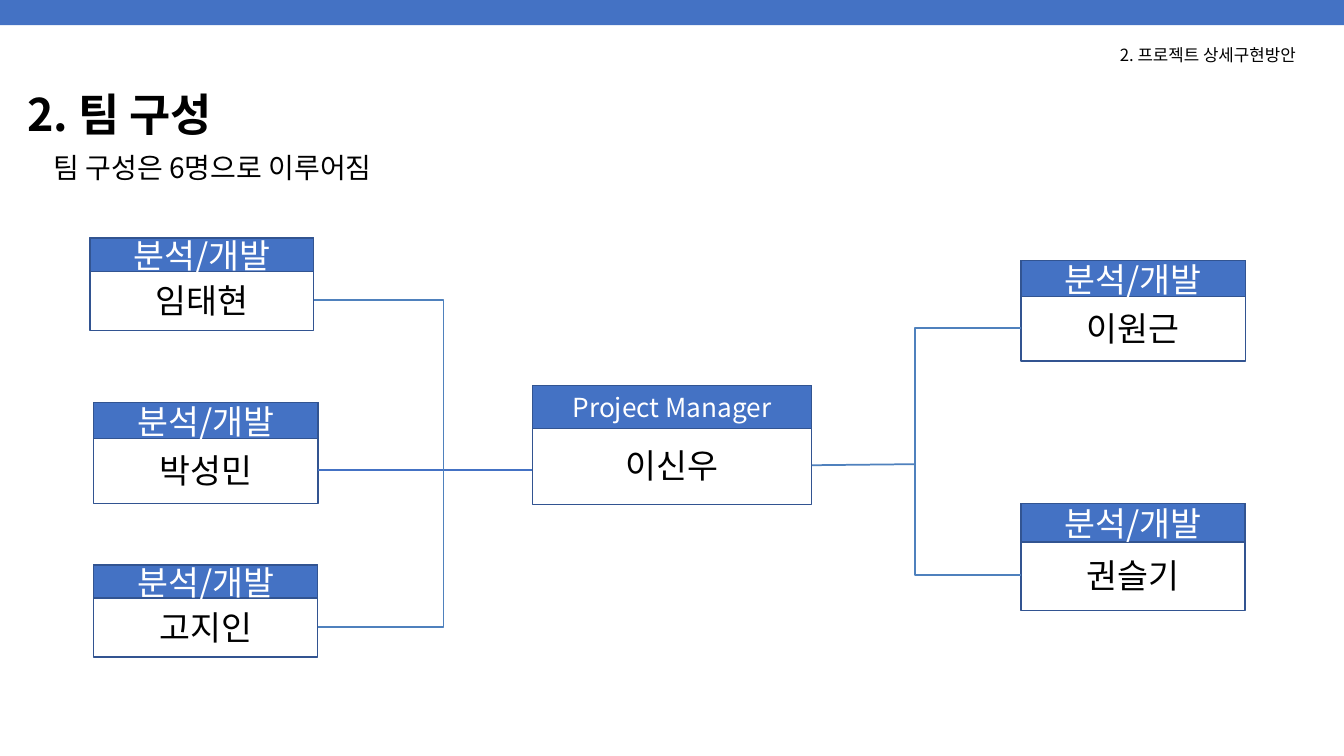
from pptx import Presentation
from pptx.dml.color import RGBColor
from pptx.enum.shapes import MSO_CONNECTOR, MSO_SHAPE
from pptx.enum.text import MSO_ANCHOR, PP_ALIGN
from pptx.oxml.ns import qn
from pptx.util import Inches, Pt
from lxml import etree

RECTANGLE = MSO_SHAPE.RECTANGLE
STRAIGHT, ELBOW = MSO_CONNECTOR.STRAIGHT, MSO_CONNECTOR.ELBOW
TOP, MIDDLE = MSO_ANCHOR.TOP, MSO_ANCHOR.MIDDLE
LEFT, CENTER = PP_ALIGN.LEFT, PP_ALIGN.CENTER
LEFT_SIDE, RIGHT_SIDE = 1, 3

BLUE = RGBColor(0x44, 0x72, 0xC4)
BORDER = RGBColor(0x32, 0x54, 0x91)
BRANCH = RGBColor(0x4F, 0x81, 0xBD)
BLACK = RGBColor(0, 0, 0)
WHITE = RGBColor(255, 255, 255)
FONT = "Noto Sans CJK KR"

SLIDE_WIDTH, SLIDE_HEIGHT = Inches(13.33), Inches(7.5)
COLUMN, ROW = SLIDE_WIDTH / 100, SLIDE_HEIGHT / 100
HEADER_SHARE, NAME_CENTER, NAME_HEIGHT = 0.36, 0.67, 6.67

ROLE = "분석/개발"
MANAGER = ("Project Manager", "이신우", 18.7, (39.6, 51, 20.8, 15.73))
LEFT_TEAM = [
    (ROLE, "임태현", 24, (6.7, 31.5, 16.65, 12.2)),
    (ROLE, "박성민", 24, (6.98, 53.25, 16.7, 13.33)),
    (ROLE, "고지인", 24, (6.98, 74.73, 16.65, 12.2)),
]
RIGHT_TEAM = [
    (ROLE, "이원근", 24, (75.98, 34.45, 16.7, 13.33)),
    (ROLE, "권슬기", 24, (75.98, 66.6, 16.65, 14.13)),
]
LEFT_TRUNK, RIGHT_TRUNK = (33, 62.27), (68.1, 61.4)


def place(box):
    left, top, width, height = box
    return (round(left * COLUMN), round(top * ROW),
            round(width * COLUMN), round(height * ROW))


def write(shape, text, size, color, align=LEFT, anchor=TOP,
          bold=False, wrap=True, line_spacing=1.0):
    frame = shape.text_frame
    frame.word_wrap = wrap
    frame.vertical_anchor = anchor
    paragraph = frame.paragraphs[0]
    paragraph.alignment = align
    paragraph.line_spacing = line_spacing
    run = paragraph.add_run()
    run.text = text
    run.font.size = Pt(size)
    run.font.bold = bold
    run.font.color.rgb = color
    run.font.name = FONT
    east_asian = etree.SubElement(run.font._element, qn("a:ea"))
    east_asian.set("typeface", FONT)


def add_rectangle(shapes, box, fill=None, border=None):
    shape = shapes.add_shape(RECTANGLE, *place(box))
    shape.shadow.inherit = False
    if fill is None:
        shape.fill.background()
    else:
        shape.fill.solid()
        shape.fill.fore_color.rgb = fill
    if border is None:
        shape.line.fill.background()
    else:
        shape.line.color.rgb = border
        shape.line.width = Pt(1)
    return shape


def add_heading(slide):
    add_rectangle(slide.shapes, (0, 0, 100, 3.33), BLUE)
    title = slide.shapes.add_textbox(*place((1.28, 9.47, 97, 11.87)))
    write(title, "2. 팀 구성", 32, BLACK, anchor=MIDDLE, bold=True, line_spacing=0.9)
    section = slide.shapes.add_textbox(*place((82.58, 5.33, 15.98, 4)))
    write(section, "2. 프로젝트 상세구현방안", 12, BLACK, wrap=False)
    summary = slide.shapes.add_textbox(*place((3.23, 19.73, 93.08, 8.67)))
    write(summary, "팀 구성은 6명으로 이루어짐", 20, BLACK, line_spacing=0.9)


def add_card(slide, role, name, role_size, box):
    left, top, width, height = box
    shapes = slide.shapes.add_group_shape().shapes
    add_rectangle(shapes, box, border=BORDER)
    header = add_rectangle(shapes, (left, top, width, height * HEADER_SHARE), BLUE, BORDER)
    write(header, role, role_size, WHITE, CENTER, MIDDLE)
    name_top = top + height * NAME_CENTER - NAME_HEIGHT / 2
    name_box = shapes.add_textbox(*place((left, name_top, width, NAME_HEIGHT)))
    write(name_box, name, 24, BLACK, CENTER, MIDDLE)
    return name_box


def side_point(shape, side):
    x = shape.left if side == LEFT_SIDE else shape.left + shape.width
    return x, shape.top + shape.height // 2


def add_line(slide, kind, start, end, color, width):
    connector = slide.shapes.add_connector(kind, *start, *end)
    connector.line.color.rgb = color
    connector.line.width = Pt(width)
    properties = connector._element.spPr
    etree.SubElement(properties, qn("a:effectLst"))
    if kind == ELBOW:
        properties.find(qn("a:prstGeom")).set("prst", "bentConnector2")
    return connector


def add_team(slide):
    manager = add_card(slide, *MANAGER)
    left_names = [add_card(slide, *member) for member in LEFT_TEAM]
    right_names = [add_card(slide, *member) for member in RIGHT_TEAM]
    left_trunk, right_trunk = (place((*trunk, 0, 0))[:2]
                               for trunk in (LEFT_TRUNK, RIGHT_TRUNK))

    upper, middle, lower = left_names
    middle_point = side_point(middle, RIGHT_SIDE)
    manager_edge = (manager.left, middle_point[1])
    link = add_line(slide, STRAIGHT, manager_edge, middle_point, BLUE, 1.5)
    link.end_connect(middle, RIGHT_SIDE)

    stem = add_line(slide, STRAIGHT, side_point(manager, RIGHT_SIDE),
                    right_trunk, BRANCH, 1.25)
    stem.begin_connect(manager, RIGHT_SIDE)

    branches = [(name, LEFT_SIDE, right_trunk) for name in right_names]
    branches += [(name, RIGHT_SIDE, left_trunk) for name in (lower, upper)]
    for name, side, trunk in branches:
        add_line(slide, ELBOW, side_point(name, side), trunk, BRANCH, 1.25)


def main():
    presentation = Presentation()
    presentation.slide_width, presentation.slide_height = SLIDE_WIDTH, SLIDE_HEIGHT
    slide = presentation.slides.add_slide(presentation.slide_layouts[6])
    add_heading(slide)
    add_team(slide)
    presentation.save("out.pptx")


if __name__ == "__main__":
    main()
